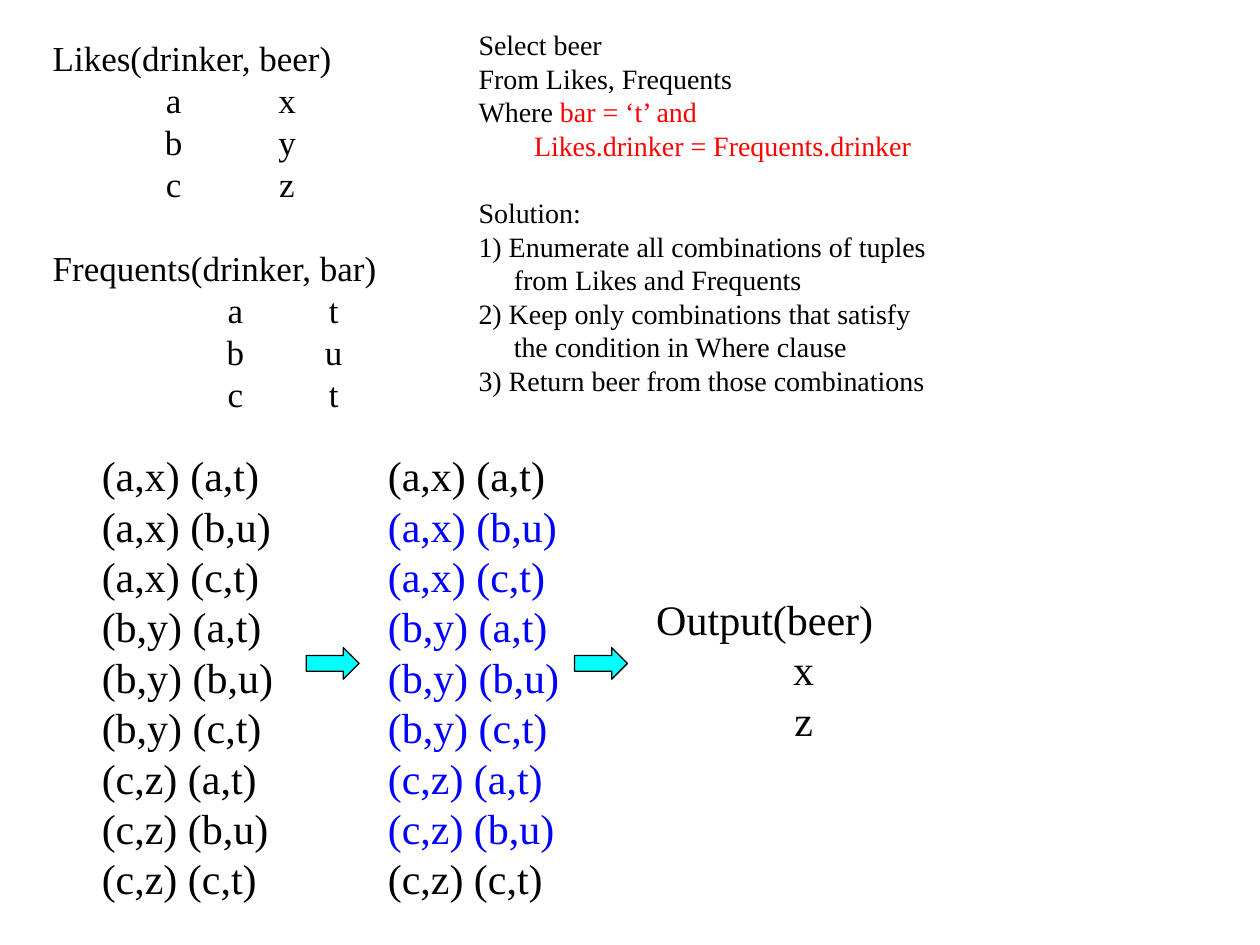
"""Build a slide that evaluates a join query over two small relations."""
import itertools

import pptx
import pptx.dml.color
import pptx.enum.shapes
import pptx.enum.text
import pptx.oxml
import pptx.oxml.ns
import pptx.util
from pptx.util import Inches, Pt

FONT = "Times New Roman"
BLACK, RED, BLUE, CYAN = "000000", "FF0000", "0000FF", "00FFFF"
LINE_HEIGHT = 1.2

LIKES = [("a", "x"), ("b", "y"), ("c", "z")]
FREQUENTS = [("a", "t"), ("b", "u"), ("c", "t")]
RELATIONS = [
    ("Likes(drinker, beer)", LIKES, (0.96, 1.86)),
    ("Frequents(drinker, bar)", FREQUENTS, (1.45, 2.23)),
]
OUTPUT = [("Output(beer)", [("x",), ("z",)], (1.17,))]
QUERY = [
    {"runs": [("Select beer", BLACK)]},
    {"runs": [("From Likes, Frequents", BLACK)]},
    {"runs": [("Where ", BLACK),
              ("bar = ‘t’ and\vLikes.drinker = Frequents.drinker", RED)],
     "hang": 0.44},
    {"runs": [("Solution:", BLACK)], "gap": True},
]
STEPS = [
    "1) Enumerate all combinations of tuples\vfrom Likes and Frequents",
    "2) Keep only combinations that satisfy\vthe condition in Where clause",
    "3) Return beer from those combinations",
]
ARROW_LEFTS = (2.43, 4.56)


def rgb(value):
    return pptx.dml.color.RGBColor.from_string(value)


def relation_lines(relations):
    lines = []
    for title, rows, tabs in relations:
        lines.append({"runs": [(title, BLACK)], "gap": bool(lines)})
        for row in rows:
            text = "".join("\t" + value for value in row)
            lines.append({"runs": [(text, BLACK)], "tabs": tabs})
    return lines


def pair_lines(rejected_color):
    lines = []
    for like, visit in itertools.product(LIKES, FREQUENTS):
        kept = visit[1] == "t" and like[0] == visit[0]
        text = f"({','.join(like)}) ({','.join(visit)})"
        lines.append({"runs": [(text, BLACK if kept else rejected_color)]})
    return lines


def add_tabs(p, centers):
    tab_list = pptx.oxml.parse_xml(
        f"<a:tabLst {pptx.oxml.ns.nsdecls('a')}>"
        + "".join(f'<a:tab pos="{Inches(x)}" algn="ctr"/>' for x in centers)
        + "</a:tabLst>")
    p._p.get_or_add_pPr().append(tab_list)


def add_text(s, left, top, width, height, size, lines):
    sp = s.shapes.add_textbox(*map(Inches, (left, top, width, height)))
    tf = sp.text_frame
    tf.word_wrap = True
    tf.auto_size = pptx.enum.text.MSO_AUTO_SIZE.SHAPE_TO_FIT_TEXT
    for i, line in enumerate(lines):
        p = tf.add_paragraph() if i else tf.paragraphs[0]
        p.line_spacing = Pt(size * LINE_HEIGHT)
        if line.get("gap"):
            p.space_before = Pt(size * LINE_HEIGHT)
        if "tabs" in line:
            add_tabs(p, line["tabs"])
        if "hang" in line:
            pPr = p._p.get_or_add_pPr()
            pPr.set("marL", str(Inches(line["hang"])))
            pPr.set("indent", str(-Inches(line["hang"])))
        for text, color in line["runs"]:
            for j, part in enumerate(text.split("\v")):
                if j:
                    p.add_line_break()
                r = p.add_run()
                r.text = part
                r.font.name = FONT
                r.font.size = Pt(size)
                r.font.color.rgb = rgb(color)


def add_arrow(s, left):
    sp = s.shapes.add_shape(
        pptx.enum.shapes.MSO_SHAPE.RIGHT_ARROW,
        *map(Inches, (left, 5.14, 0.42, 0.25)))
    sp.shadow.inherit = False
    sp.fill.solid()
    sp.fill.fore_color.rgb = rgb(CYAN)
    sp.line.color.rgb = rgb(BLACK)
    sp.line.width = Pt(0.75)


def main():
    prs = pptx.Presentation()
    prs.slide_width, prs.slide_height = Inches(10), Inches(7.5)
    s = prs.slides.add_slide(prs.slide_layouts[6])
    steps = [{"runs": [(step, BLACK)], "hang": 0.28} for step in STEPS]
    add_text(s, 0.32, 0.24, 2.8, 3.1, 20, relation_lines(RELATIONS))
    add_text(s, 3.7, 0.17, 3.8, 3.03, 16, QUERY + steps)
    add_text(s, 0.71, 3.52, 1.6, 3.7, 24, pair_lines(BLACK))
    add_text(s, 2.98, 3.52, 1.6, 3.7, 24, pair_lines(BLUE))
    add_text(s, 5.11, 4.66, 2.51, 1.3, 24, relation_lines(OUTPUT))
    for left in ARROW_LEFTS:
        add_arrow(s, left)
    prs.save("out.pptx")


if __name__ == "__main__":
    main()
